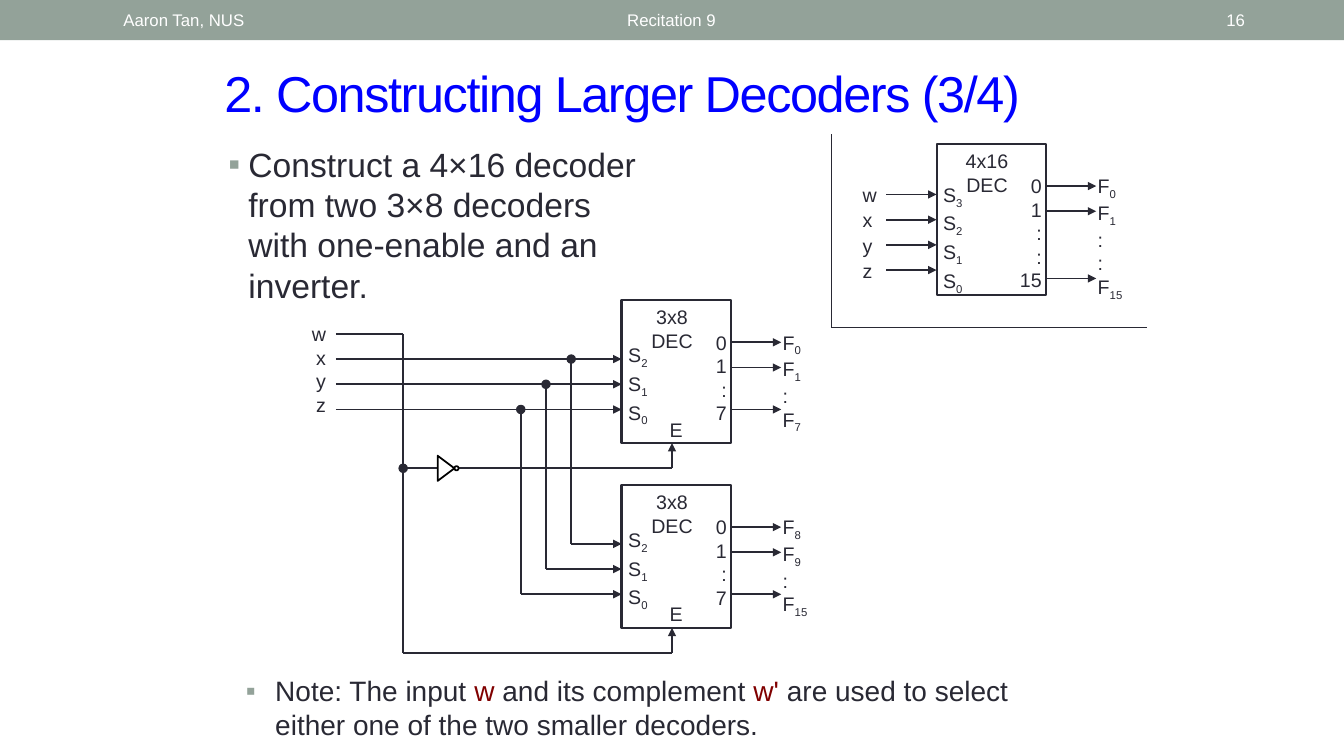
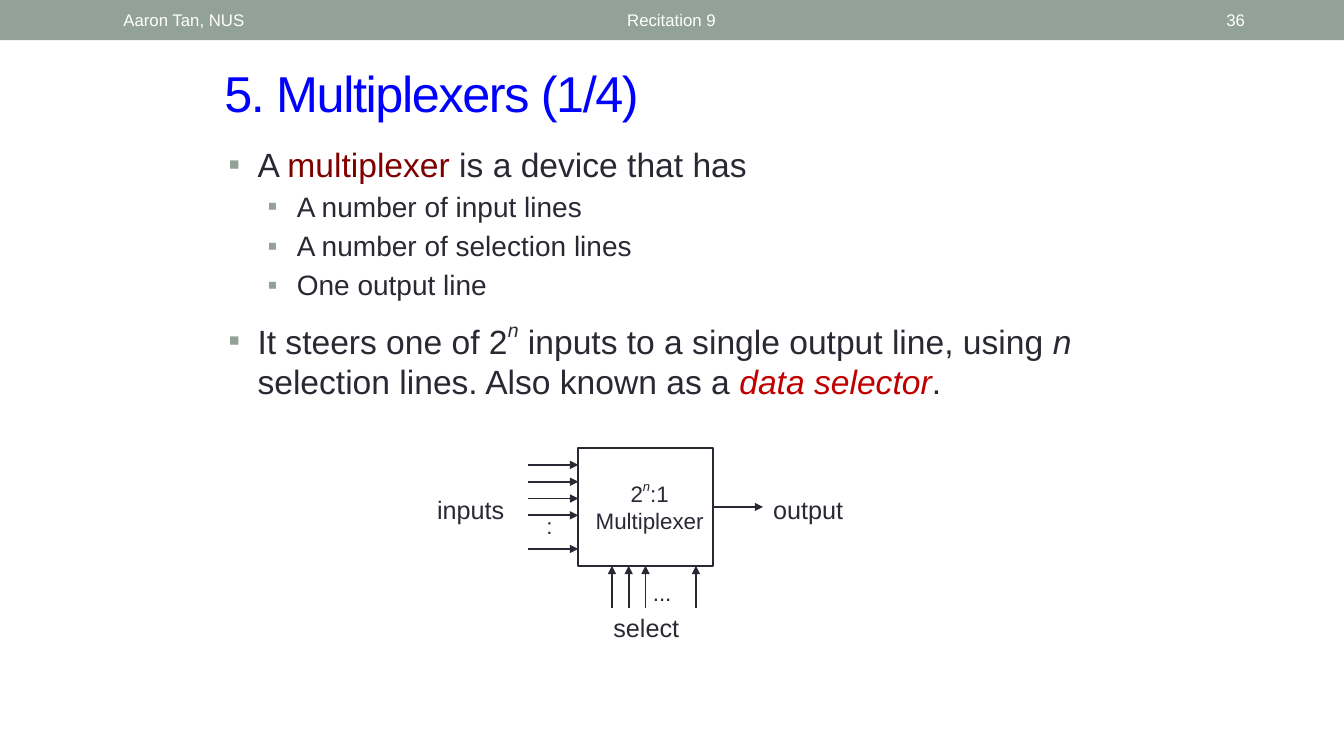
import pptx
import pptx.util
import pptx.dml.color
import pptx.enum.shapes
import pptx.enum.text
import pptx.oxml.ns
import lxml.etree

INK = {"band": "93A299", "title": "0000FF", "text": "292934", "key": "800000",
       "term": "C00000", "white": "FFFFFF", "gate": "000000"}
FONT = "Arial"
COLS, ROWS = 160, 90          # grid of 1/12 inch squares
KIND = pptx.enum.shapes.MSO_SHAPE
ALIGN = {"l": pptx.enum.text.PP_ALIGN.LEFT, "c": pptx.enum.text.PP_ALIGN.CENTER,
         "r": pptx.enum.text.PP_ALIGN.RIGHT}
MID = pptx.enum.text.MSO_ANCHOR.MIDDLE
TOP = pptx.enum.text.MSO_ANCHOR.TOP


def unit(n):
    return pptx.util.Emu(round(n * pptx.util.Inches(1) / 12))


def tint(name):
    return pptx.dml.color.RGBColor.from_string(INK[name])


def node(parent, tag, **attrs):
    return lxml.etree.SubElement(parent, pptx.oxml.ns.qn(tag), attrs)


# Text: a paragraph is a list of strings or (string, format) pairs
def fill_run(par, part, size, ink):
    words, form = part if isinstance(part, tuple) else (part, {})
    run = par.add_run()
    run.text = words
    look = {"name": FONT, "size": pptx.util.Pt(size), "italic": form.get("italic")}
    for key, value in look.items():
        setattr(run.font, key, value)
    run.font.color.rgb = tint(form.get("ink", ink))
    for key in ("baseline", "spc"):
        if key in form:
            run.font._element.set(key, str(form[key]))


def bullet(par, left, hang):
    props = par._p.get_or_add_pPr()
    props.set("marL", str(pptx.util.Inches(left)))
    props.set("indent", str(-pptx.util.Inches(hang)))
    node(node(props, "a:buClr"), "a:srgbClr", val=INK["band"])
    node(props, "a:buFont", typeface=FONT)
    node(props, "a:buChar", char="▪")


def write(slide, box, pars, size=14, ink="text", al="l", anchor=TOP, gap=0):
    shape = slide.shapes.add_textbox(*map(unit, box))
    frame = shape.text_frame
    frame.word_wrap = True
    frame.vertical_anchor = anchor
    for i, item in enumerate(pars):
        form = {"size": size, "gap": gap}
        if isinstance(item, dict):
            form.update(item)
            item = form["parts"]
        par = frame.paragraphs[0] if i == 0 else frame.add_paragraph()
        if "left" in form:
            bullet(par, form["left"], form["hang"])
        par.alignment = ALIGN[al]
        if i and form["gap"]:
            par.space_before = pptx.util.Pt(form["gap"])
        for part in item:
            fill_run(par, part, form["size"], ink)


def sub(label):
    """First letter, then the rest as a subscript."""
    return [label[0]] + ([(label[1:], {"baseline": -25000})] if label[1:] else [])


# Drawing parts
def block(slide, box, kind=KIND.RECTANGLE, fill=None, line="text", weight=1.5, turn=0):
    shape = slide.shapes.add_shape(kind, *map(unit, box))
    shape.shadow.inherit = False
    shape.rotation = turn
    if fill:
        shape.fill.solid()
        shape.fill.fore_color.rgb = tint(fill)
    else:
        shape.fill.background()
    if line:
        shape.line.color.rgb = tint(line)
        shape.line.width = pptx.util.Pt(weight)
    else:
        shape.line.fill.background()
    return shape


def wire(slide, x1, y1, x2, y2, head=False, weight=1.25):
    line = slide.shapes.add_connector(
        pptx.enum.shapes.MSO_CONNECTOR.STRAIGHT, *map(unit, (x1, y1, x2, y2)))
    line.line.color.rgb = tint("text")
    line.line.width = pptx.util.Pt(weight)
    props = line._element.spPr
    if head:
        node(props.find(pptx.oxml.ns.qn("a:ln")), "a:tailEnd", type="triangle")
    node(props, "a:effectLst")
    return line


def dot(slide, x, y):
    block(slide, (x - 0.5, y - 0.5, 1, 1), KIND.OVAL, "text", weight=0.75)


# Shared frame: band, title, footers
def page(deck, title, number):
    slide = deck.slides.add_slide(deck.slide_layouts[5])
    block(slide, (0, 0, COLS, 4.8), fill="band", line=None)
    head = slide.shapes.title
    spot = dict(zip(("left", "top", "width", "height"),
                    map(unit, (25.5, 6.85, 110.5, 8.4))))
    for key, value in spot.items():
        setattr(head, key, value)
    frame = head.text_frame
    frame.auto_size = pptx.enum.text.MSO_AUTO_SIZE.NONE
    frame.vertical_anchor = MID
    par = frame.paragraphs[0]
    par.alignment = ALIGN["l"]
    fill_run(par, (title, {"spc": -100}), 36, "title")
    for x, wide, words, al in ((36.2, 87.5, "Recitation 9", "c"),
                               (13.5, 38, "Aaron Tan, NUS", "l"),
                               (138, 11.4, str(number), "r")):
        write(slide, (x, 0.25, wide, 4.3), [[words]], 12, "white", al, MID)
    return slide


# Decoder: rows of pins are counted from the top of its box
def decoder(slide, box, name, ins, starts, outs, pins, nets, lift):
    x, y, wide, high = box
    block(slide, box)
    write(slide, (x + 1, y, 10, 6.8), [[name], ["DEC"]], al="c")
    for row, start in zip(ins, starts):
        wire(slide, start, y + row, x, y + row, True)
    for row in outs:
        wire(slide, x + wide, y + row, x + wide + 6, y + row, True)
    count = len(ins)
    write(slide, (x - 0.4, y + lift, 5.6, 3.3 * count),
          [sub(f"S{i}") for i in reversed(range(count))], gap=1.4)
    deep = 3 * len(pins) + 0.5
    write(slide, (x + wide - 5.3, y + 3, 6, deep), [[pin] for pin in pins], al="r")
    write(slide, (x + wide + 5, y + 3, 7, deep), [sub(net) for net in nets])


# Boxed-off symbol of the whole decoder
def symbol(slide, x, y):
    wire(slide, x, y + 23, x + 37.5, y + 23, weight=0.75)
    wire(slide, x, y + 23, x, y, weight=0.75)
    left, top = x + 12.5, y + 1.15
    decoder(slide, (left, top, 13, 18), "4x16", (6, 9, 12, 15), [left - 6] * 4,
            (5, 8, 16), ["0", "1", ":", ":", "15"],
            ["F0", "F1", ":", ":", "F15"], 4)
    write(slide, (left - 10, top + 4, 4, 13.3), [[c] for c in "wxyz"], gap=1.4)


# Two small decoders, inverter and wiring
def circuit(slide, x, y):
    left, drop, high = x + 34, 22, 17
    ins, bus, pin = (7, 10, 13), x + 8, x + 40
    taps = (x + 28, x + 25, x + 22)
    for i, (starts, nets) in enumerate((([x] * 3, ["F0", "F1", ":", "F7"]),
                                        (taps, ["F8", "F9", ":", "F15"]))):
        top = y + i * drop
        decoder(slide, (left, top, 13, high), "3x8", ins, starts, (5, 8, 13),
                ["0", "1", ":", "7"], nets, 4.5)
        write(slide, (left + 4, top + 13.35, 5, 4), [["E"]], al="c")
        wire(slide, pin, top + high + 3, pin, top + high, True)
    write(slide, (x - 5, y + 2, 5, 12.5), [[c] for c in "wxyz"], al="r")
    for row, tap in zip(ins, taps):
        wire(slide, tap, y + row, tap, y + row + drop)
        dot(slide, tap, y + row)
    # Enable line and inverter
    gate, base = y + high + 3, y + drop + high + 3
    wire(slide, x, y + 4, bus, y + 4)
    wire(slide, bus, y + 4, bus, base)
    wire(slide, bus, base, pin, base)
    wire(slide, bus, gate, x + 12, gate)
    wire(slide, x + 14.6, gate, pin, gate)
    block(slide, (x + 11.6, gate - 1, 3, 2), KIND.FLOWCHART_MERGE,
          line="gate", weight=1.25, turn=270)
    block(slide, (x + 14.1, gate - 0.25, 0.5, 0.5), KIND.OVAL, line="gate", weight=1.25)
    dot(slide, bus, gate)


# Multiplexer with its inputs, output and selection lines
def mux(slide, x, y):
    wide, high = 16, 14
    box = block(slide, (x, y, wide, high))
    power = ("n", {"italic": True, "baseline": 50000})
    write(slide, (x, y + 3, 17, 7.7), [["2", power, ":1"], ["Multiplexer"]], 16, al="c")
    for row in (2, 4, 6, 8, 12):
        wire(slide, x - 6, y + row, x, y + row, True)
    for col in (4, 6, 8, 14):
        wire(slide, x + col, y + high + 5, x + col, y + high, True)
    out = wire(slide, x + wide, y + high / 2, x + wide + 6, y + high / 2, True)
    out.begin_connect(box, 3)
    for dx, dy, span, words, size in ((22, 4.9, 11, "output", 18),
                                      (-18, 4.9, 11, "inputs", 18),
                                      (3, 19, 12, "select", 18),
                                      (-5, 7, 4, ":", 16), (7.7, 15, 5, "...", 16)):
        write(slide, (x + dx, y + dy, span, 5), [[words]], size)


def main():
    deck = pptx.Presentation()
    deck.slide_width, deck.slide_height = unit(COLS), unit(ROWS)
    wide = {"left": 0.29, "hang": 0.29}
    key = {"ink": "key"}
    slant = {"italic": True}

    slide = page(deck, "2. Constructing Larger Decoders (3/4)", 16)
    write(slide, (26, 16.5, 53, 21), [{"left": 0.2, "hang": 0.2, "parts": [
        "Construct a 4×16 decoder from two 3×8 decoders with one-enable and an inverter."]}], 24)
    symbol(slide, 99, 16)
    circuit(slide, 40, 35.75)
    write(slide, (28.1, 79.6, 99.5, 9), [{**wide, "parts": [
        "Note: The input ", ("w", key), " and its complement ", ("w'", key),
        " are used to select either one of the two smaller decoders."]}], 20)

    slide = page(deck, "5. Multiplexers (1/4)", 36)
    lines = ("A number of input lines", "A number of selection lines", "One output line")
    write(slide, (26, 16.5, 108, 33), [
        {**wide, "parts": ["A ", ("multiplexer", key), " is a device that has"]},
        *({"left": 0.68, "hang": 0.29, "size": 20, "gap": 4, "parts": [line]}
          for line in lines),
        {**wide, "gap": 12, "parts": [
            "It steers one of 2", ("n", {**slant, "baseline": 50000}),
            " inputs to a single output line, using ", ("n", slant),
            " selection lines. Also known as a ",
            ("data selector", {**slant, "ink": "term"}), "."]}], 24)
    mux(slide, 68.85, 53.35)
    deck.save("out.pptx")


if __name__ == "__main__":
    main()
